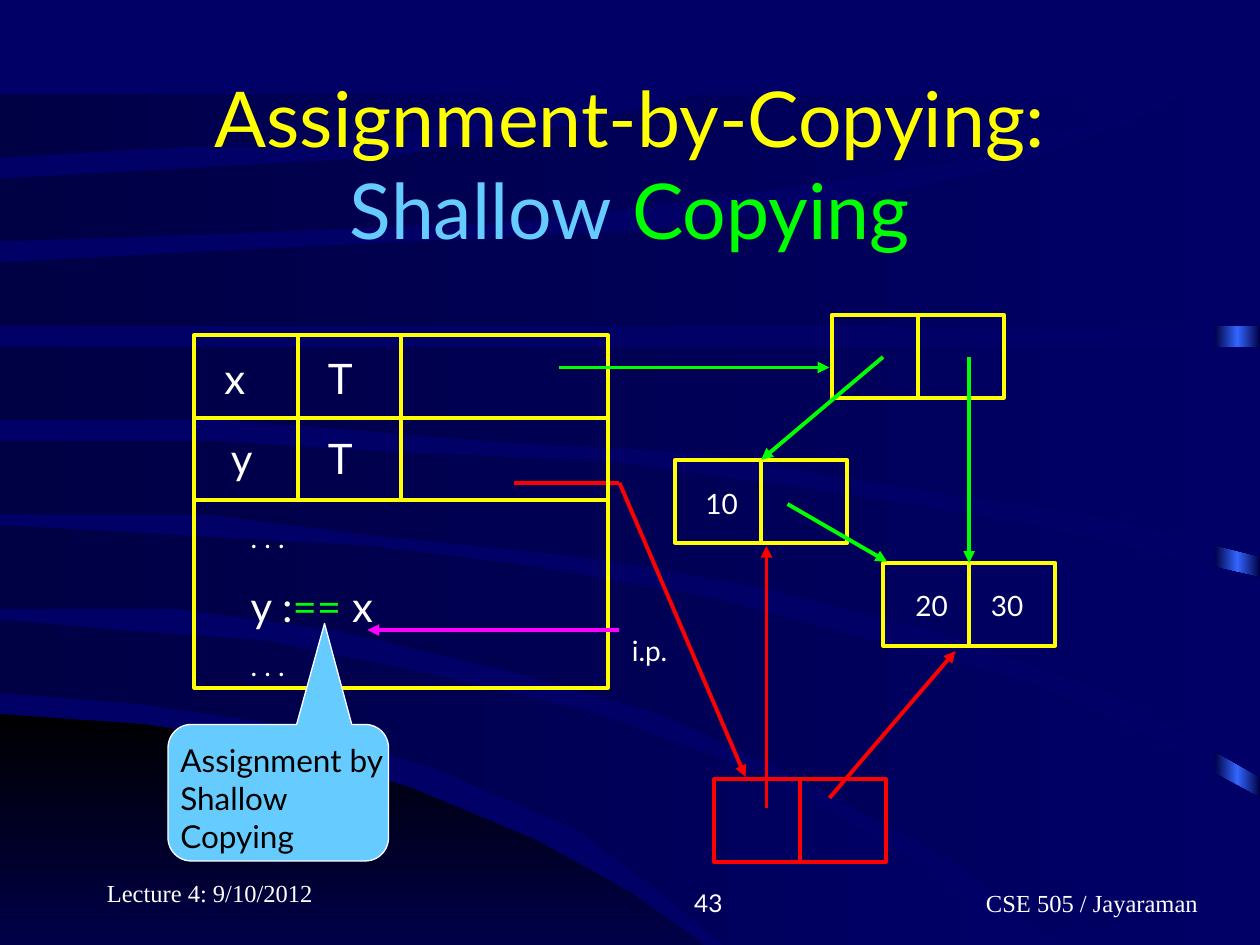
from lxml import etree
from pptx import Presentation
from pptx import util as u
from pptx.dml.color import RGBColor
from pptx.enum import shapes, text
from pptx.oxml.ns import qn

# Slide grid: 120 columns by 90 rows of square cells
COLS, ROWS = 120, 90
CELL = u.Inches(10) / COLS
YELLOW, GREEN, RED, WHITE = "FFFF00", "00FF00", "FF0000", "FFFFFF"
SKY, MAGENTA, BLACK, NIGHT, NAVY = "66CCFF", "FF00FF", "000000", "000044", "000066"
NODE_W, NODE_H = 16.4, 7.9

# Each background band: its upper edge and its lower edge
BANDS = [
    ([(0, 59.4), (10.6, 59.6), (24.8, 61), (40.3, 63.5), (56.8, 67.8), (72.8, 74),
      (87.4, 81.7), (98.4, 90)],
     [(0, 66.5), (12.7, 67.1), (26.6, 69.2), (41.2, 73.4), (54.6, 79.3), (62.9, 84.6),
      (69.4, 90)]),
    ([(0, 50.5), (17.4, 51), (34.8, 52.2), (51.2, 54.1), (68.5, 57.1), (83.3, 60.6),
      (98.3, 65.4), (108.6, 69.7), (120, 76.4)],
     [(0, 57.6), (16.9, 58.3), (32.2, 60.2), (48.7, 63.7), (62.6, 68), (76.4, 73.7),
      (90.8, 82), (101, 90), (120, 90)]),
    ([(0, 41.5), (20.3, 41.9), (36.2, 42.6), (57.6, 44.3), (79.6, 46.8), (98, 49.8),
      (120, 54.7)],
     [(0, 48.8), (20.2, 49.3), (36.5, 50.6), (55.7, 53), (73.3, 56.3), (89.3, 60.5),
      (105.8, 66.5), (120, 74.3)]),
    ([(0, 32.8), (120, 32.8)],
     [(0, 39.8), (22.4, 40.3), (46.8, 41.5), (66.4, 43.3), (84.4, 45.7), (103.9, 49.2),
      (120, 53)]),
    ([(0, 24.7), (19, 24.4), (39.6, 23.4), (61.1, 21.6), (82.2, 18.7), (96.5, 15.7),
      (107.2, 12.4), (113.3, 9), (120, 9)],
     [(0, 31.1), (120, 31.1)]),
    ([(0, 16.7), (19.3, 16.1), (37.1, 14.6), (53.5, 12.1), (66.8, 9), (110.2, 9)],
     [(0, 23), (27.2, 22.3), (51.1, 20.9), (73.8, 18.4), (92.8, 14.8), (102.6, 12.1),
      (110.2, 9)]),
    ([(0, 9), (60.2, 9)],
     [(0, 14.9), (16.6, 14.5), (30.5, 13.7), (48.1, 11.4), (60.2, 9)]),
]
CORNER = [(0, 68.2), (13.6, 68.9), (26.3, 70.9), (39.4, 74.6), (51.1, 79.6), (59.5, 84.6),
          (66.7, 90), (0, 90)]


def rgb(color):
    return RGBColor.from_string(color)


def grid(*cells):
    return [u.Emu(round(c * CELL)) for c in cells]


def gradient(sp, stops, angle=0):
    """Fill a shape with evenly spaced colour stops."""
    sp.shadow.inherit = False
    sp.line.fill.background()
    sp.fill.gradient()
    fill = sp.element.spPr.find(qn("a:gradFill"))
    for child in list(fill):
        fill.remove(child)
    gs_list = etree.SubElement(fill, qn("a:gsLst"))
    for i, color in enumerate(stops):
        gs = etree.SubElement(gs_list, qn("a:gs"), pos=str(100000 * i // (len(stops) - 1)))
        etree.SubElement(gs, qn("a:srgbClr"), val=color)
    etree.SubElement(fill, qn("a:lin"), ang=str(angle * 60000), scaled="0")


def outline(s, points):
    builder = s.shapes.build_freeform(*points[0], scale=CELL)
    builder.add_line_segments(points[1:], close=True)
    return builder.convert_to_shape()


def shape(s, box, line, kind=shapes.MSO_SHAPE.RECTANGLE, fill=None, width=2.25):
    sp = s.shapes.add_shape(kind, *grid(*box))
    sp.shadow.inherit = False
    if fill:
        sp.fill.solid()
        sp.fill.fore_color.rgb = rgb(fill)
    else:
        sp.fill.background()
    sp.line.color.rgb = rgb(line)
    sp.line.width = u.Pt(width)
    return sp


def line(s, start, end, color, arrow=False):
    c = s.shapes.add_connector(shapes.MSO_CONNECTOR.STRAIGHT, *grid(*start, *end))
    c.line.color.rgb = rgb(color)
    c.line.width = u.Pt(2.25)
    if arrow:
        etree.SubElement(c.line._get_or_add_ln(), qn("a:tailEnd"), type="triangle")
    etree.SubElement(c.element.spPr, qn("a:effectLst"))
    return c


def add_run(p, words, size=16, color=WHITE, font="Lato"):
    r = p.add_run()
    r.text = words
    r.font.size, r.font.name, r.font.color.rgb = u.Pt(size), font, rgb(color)


def label(s, box, words, align=text.PP_ALIGN.LEFT, anchor=text.MSO_ANCHOR.TOP, **fmt):
    """Text box with one paragraph for each line of words."""
    tf = s.shapes.add_textbox(*grid(*box)).text_frame
    tf.word_wrap = True
    tf.vertical_anchor = anchor
    for i, words_line in enumerate(words.split("\n")):
        p = tf.add_paragraph() if i else tf.paragraphs[0]
        p.alignment = align
        if words_line:
            add_run(p, words_line, **fmt)
    return tf


def background(s):
    s.background.fill.solid()
    s.background.fill.fore_color.rgb = rgb(NAVY)
    strip = shape(s, (115.7, 9.2, COLS - 115.7, ROWS - 9.2), NIGHT)
    gradient(strip, [NIGHT, "3366FF", NIGHT])
    gradient(outline(s, CORNER), [BLACK, "000048"], angle=90)
    for upper, lower in BANDS:
        gradient(outline(s, upper + lower[::-1]), [NIGHT, NAVY])


def title(s, box):
    sp = s.shapes.title
    s.shapes.element.append(sp.element)  # in front of the background
    sp.left, sp.top, sp.width, sp.height = grid(*box)
    tf = sp.text_frame
    tf.auto_size = text.MSO_AUTO_SIZE.NONE
    tf.vertical_anchor = text.MSO_ANCHOR.MIDDLE
    p = tf.paragraphs[0]
    p.alignment = text.PP_ALIGN.CENTER
    add_run(p, "Assignment-by-Copying:", 44, YELLOW)
    p.add_line_break()
    add_run(p, "Shallow", 44, SKY)
    add_run(p, " Copying", 44, GREEN)


def node(s, x, y, color=YELLOW, values=()):
    """Two-cell record; values are (offset, number) pairs."""
    sp = shape(s, (x, y, NODE_W, NODE_H), color)
    mid = x + NODE_W / 2
    divider = line(s, (mid, y), (mid, y + NODE_H), color)
    divider.begin_connect(sp, 0)
    divider.end_connect(sp, 2)
    for dx, value in values:
        label(s, (x + dx, y + 1.9, 8.2, 4.4), value)
    return sp


def frame(s, x, y, w, h):
    """Variables x and y above the program text."""
    row, col = w / 5, w / 4
    shape(s, (x, y, w, h), YELLOW)
    for i in (1, 2):
        line(s, (x, y + i * row), (x + w, y + i * row), YELLOW)
        line(s, (x + i * col, y), (x + i * col, y + 2 * row), YELLOW)
    for i, (name, dx) in enumerate((("x", 1.7), ("y", 2.3))):
        top = y + 1.1 + i * 7.65
        label(s, (x + dx, top, 8.2, 6), name, size=24)
        label(s, (x + col + 1.7, top, 8.2, 6), "T", size=24)

    tf = label(s, (x + 4.2, y + 17.1, 28.6, 16.5), ". . .\n\n. . .")
    p = tf.paragraphs[1]
    for words, color in (("y :", WHITE), ("==", GREEN), (" x", WHITE)):
        add_run(p, words, 24, color)
    p.space_before = u.Pt(15)
    tf.paragraphs[2].space_before = u.Pt(10)


def copied_record(s):
    node(s, 68, 74.2, RED)
    line(s, (49, 46), (59, 46), RED)
    for start, end in (((59, 46), (71, 74)), ((73, 77), (73, 52)), ((79, 76), (91, 62))):
        line(s, start, end, RED, arrow=True)


def shared_records(s):
    node(s, 79.2, 30)
    ten = node(s, 64.3, 43.8, values=[(1.7, "10")])
    pair = node(s, 84.1, 53.6, values=[(1.9, "20"), (9.1, "30")])
    line(s, (84.1, 34), (72.5, 43.8), GREEN, arrow=True).end_connect(ten, 0)
    line(s, (92.3, 34), (92.3, 53.6), GREEN, arrow=True).end_connect(pair, 0)
    line(s, (75, 48), (84.5, 53.5), GREEN, arrow=True)
    line(s, (53.2, 35), (79, 35), GREEN, arrow=True)


def callout(s, x, y, w, h):
    sp = shape(s, (x, y, w, h), WHITE, shapes.MSO_SHAPE.ROUNDED_RECTANGULAR_CALLOUT, SKY, 0.75)
    for i, value in enumerate((0.21, -1.24, 0.17)):
        sp.adjustments[i] = value
    label(s, (x, y + 1, w + 3, h - 1), "Assignment by\nShallow\nCopying", size=18, color=BLACK)


def footer(s):
    serif = dict(size=14, font="Times New Roman", anchor=text.MSO_ANCHOR.BOTTOM)
    label(s, (9, 81, 25, 6), "Lecture 4: 9/10/2012", **serif)
    label(s, (45, 82, 25, 6), "43", size=14, align=text.PP_ALIGN.RIGHT,
          anchor=text.MSO_ANCHOR.BOTTOM)
    label(s, (91, 82, 26, 6), "CSE 505 / Jayaraman", align=text.PP_ALIGN.CENTER, **serif)


def main():
    prs = Presentation()
    prs.slide_width, prs.slide_height = grid(COLS, ROWS)
    s = prs.slides.add_slide(prs.slide_layouts[5])
    background(s)
    title(s, (9, 8, 102, 15))
    copied_record(s)
    frame(s, 18.5, 31.9, 39.4, 33.6)
    shared_records(s)
    # Instruction pointer
    line(s, (59, 60), (35, 60), MAGENTA, arrow=True)
    label(s, (59, 59.7, 7, 4.4), "i.p.")
    callout(s, 16, 69, 21, 13)
    footer(s)
    prs.save("out.pptx")


if __name__ == "__main__":
    main()
